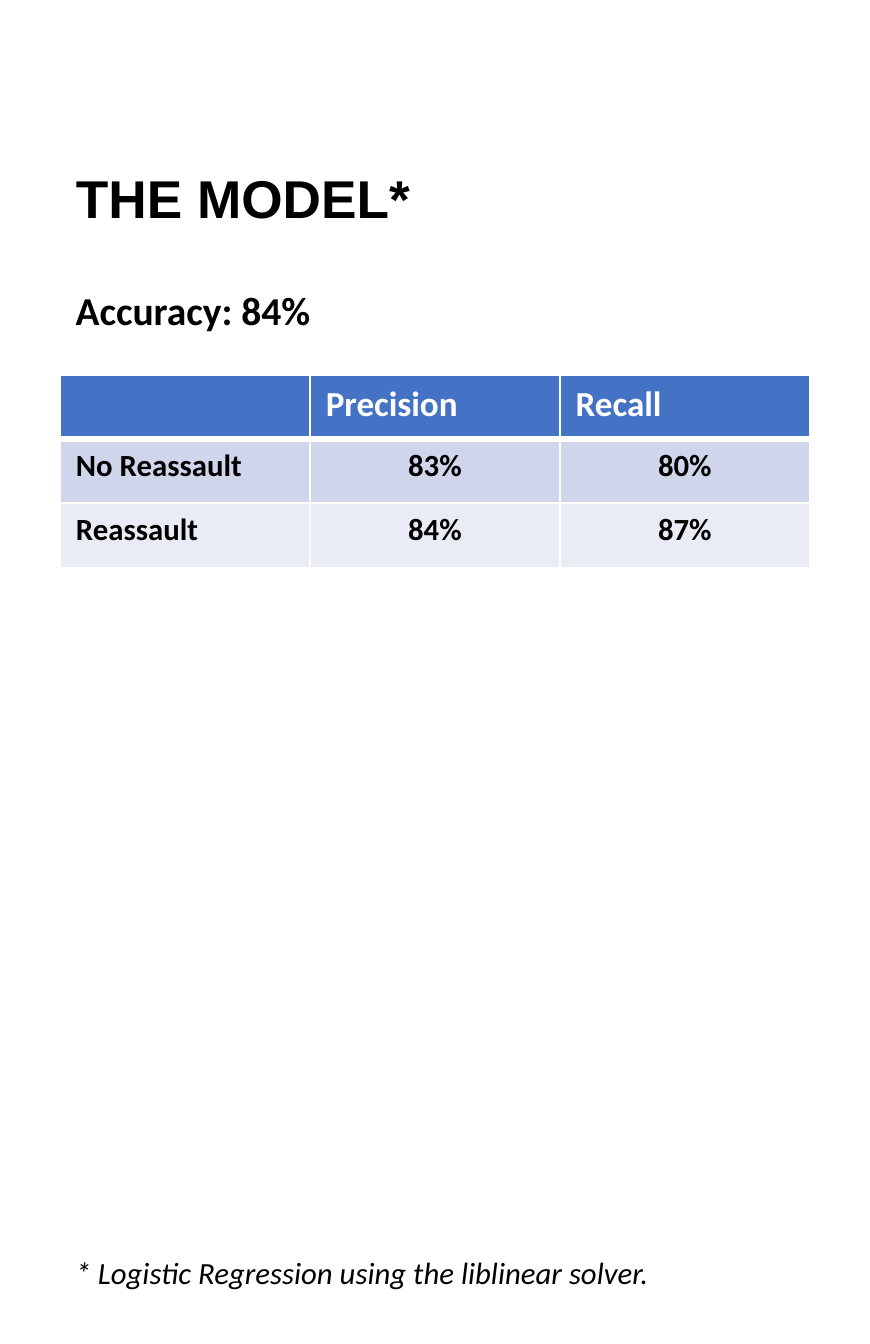
from lxml import etree
from pptx import Presentation
from pptx.dml.color import RGBColor
from pptx.enum import text
from pptx.oxml import ns
from pptx.util import Pt

COLORS = {"black": "000000", "white": "FFFFFF", "header": "4472C4",
          "odd": "CFD5EA", "even": "E9EBF5"}
LEFT, WIDTH = Pt(27.36), Pt(341.28)
ROW_HEIGHT = Pt(29.28)
ROWS = [
    ["", "Precision", "Recall"],
    ["No Reassault", "83%", "80%"],
    ["Reassault", "84%", "87%"],
]


def rgb(name):
    return RGBColor.from_string(COLORS[name])


def write(tf, content, color="black", align=text.PP_ALIGN.LEFT, **font):
    p = tf.paragraphs[0]
    p.alignment = align
    r = p.add_run()
    r.text = content
    for key, value in {"name": "Calibri", **font}.items():
        setattr(r.font, key, value)
    r.font.color.rgb = rgb(color)


def set_title(s, content):
    title = s.shapes.title
    box = {"left": LEFT, "top": Pt(32.4), "width": WIDTH, "height": Pt(118.08)}
    for key, value in box.items():
        setattr(title, key, value)
    tf = title.text_frame
    tf.auto_size = text.MSO_AUTO_SIZE.NONE
    tf.vertical_anchor = text.MSO_ANCHOR.MIDDLE
    write(tf, content, name="Arial", size=Pt(24.2), bold=True)
    tf.paragraphs[0].line_spacing = 0.9


def add_text(s, top, height, content, **font):
    tf = s.shapes.add_textbox(LEFT, top, WIDTH, height).text_frame
    tf.word_wrap = True
    tf.auto_size = text.MSO_AUTO_SIZE.SHAPE_TO_FIT_TEXT
    write(tf, content, **font)


def set_borders(cell, widths):
    """Draw white borders; widths maps the sides L, R, T, B to lengths."""
    tc_pr = cell._tc.get_or_add_tcPr()
    for i, (side, width) in enumerate(widths.items()):
        line = etree.Element(ns.qn(f"a:ln{side}"), w=str(width))
        fill = etree.SubElement(line, ns.qn("a:solidFill"))
        etree.SubElement(fill, ns.qn("a:srgbClr"), val=COLORS["white"])
        tc_pr.insert(i, line)


def add_score_table(s, top):
    table = s.shapes.add_table(len(ROWS), len(ROWS[0]), LEFT, top, WIDTH,
                               ROW_HEIGHT * len(ROWS)).table
    for i, row in enumerate(ROWS):
        header = i == 0
        for j, content in enumerate(row):
            cell = table.cell(i, j)
            cell.fill.solid()
            cell.fill.fore_color.rgb = rgb(
                "header" if header else "odd" if i % 2 else "even")
            set_borders(cell, {"L": Pt(1), "R": Pt(1),
                               "T": Pt(3 if i == 1 else 1),
                               "B": Pt(3 if header else 1)})
            if content:
                centred = not header and j > 0
                write(cell.text_frame, content,
                      color="white" if header else "black",
                      align=text.PP_ALIGN.CENTER if centred else text.PP_ALIGN.LEFT,
                      size=Pt(16 if header else 14), bold=True)


def main():
    prs = Presentation()
    prs.slide_width, prs.slide_height = Pt(396), Pt(612)
    s = prs.slides.add_slide(prs.slide_layouts.get_by_name("Title Only"))
    set_title(s, "THE MODEL*")
    add_score_table(s, Pt(170.64))
    add_text(s, Pt(567.36), Pt(24.48),
             "* Logistic Regression using the liblinear solver.",
             size=Pt(14), italic=True)
    add_text(s, Pt(126.72), Pt(28.8), "Accuracy: 84%", size=Pt(18), bold=True)
    prs.save("out.pptx")


if __name__ == "__main__":
    main()
